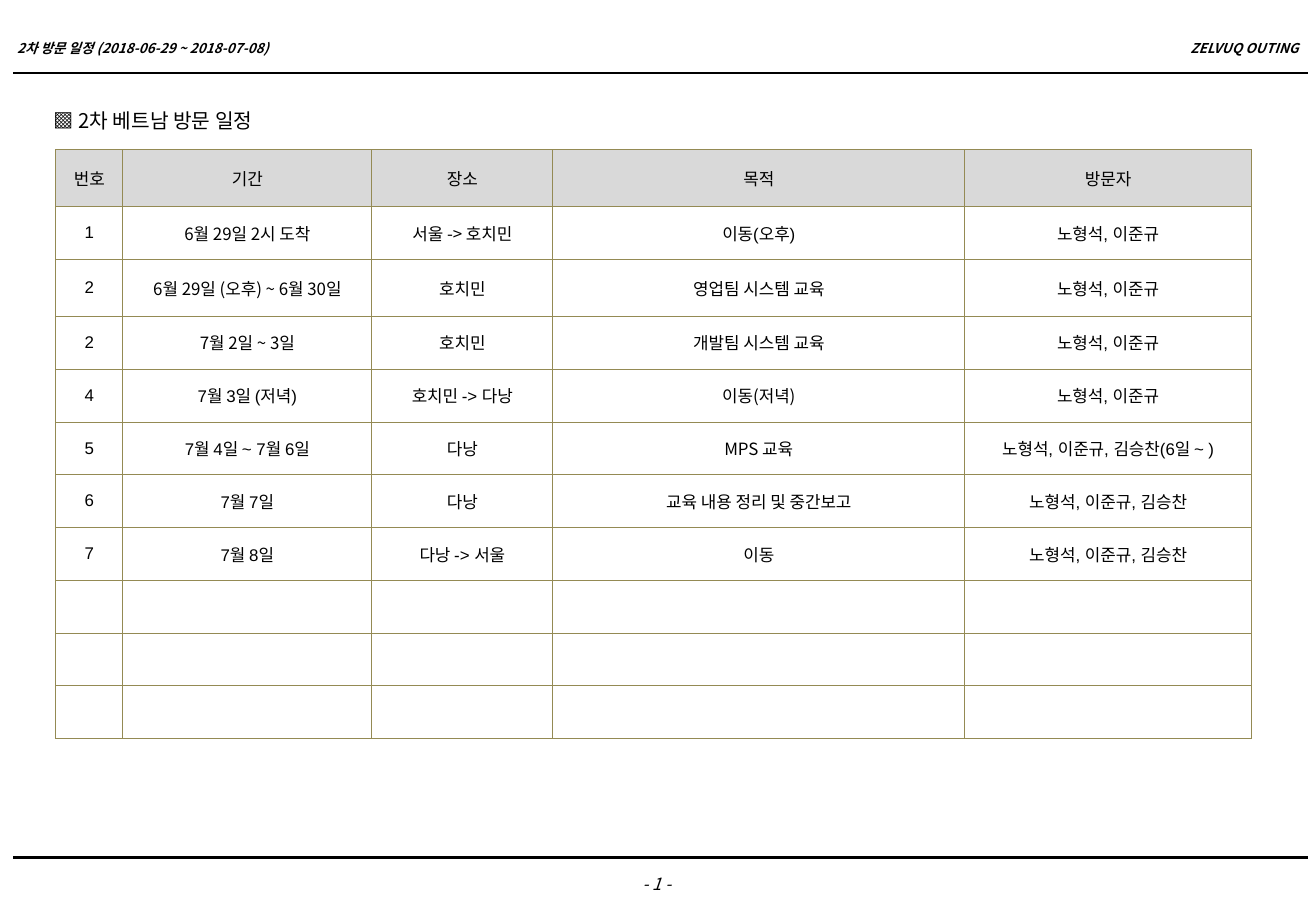
from dataclasses import dataclass

import pptx
import pptx.dml.color
import pptx.enum.dml
import pptx.enum.shapes
import pptx.enum.text
import pptx.oxml
import pptx.oxml.ns
import pptx.util

Pt = pptx.util.Pt
Align = pptx.enum.text.PP_ALIGN
Anchor = pptx.enum.text.MSO_ANCHOR


@dataclass(frozen=True)
class Theme:
    """Colours, fonts and type sizes of the slide."""
    ink: str = "000000"
    border: str = "948A54"
    header_fill: str = "D9D9D9"
    body_fill: str = "FFFFFF"
    korean_font: str = "Noto Sans CJK KR"
    latin_font: str = "Arial"
    running_size: float = 8
    body_size: float = 10
    title_size: float = 12
    rule_width: float = 1.25
    border_width: float = 0.5


@dataclass(frozen=True)
class Label:
    """A text box; lengths in points."""
    text: str
    left: float
    top: float
    width: float
    height: float
    size: float
    align: Align = Align.LEFT
    anchor: Anchor = Anchor.TOP
    bold: bool = False
    italic: bool = False
    wrap: bool = True


@dataclass(frozen=True)
class Visit:
    """One schedule row; korean lists the columns set in the Korean font."""
    cells: tuple[str, ...]
    korean: tuple[int, ...] = ()


THEME = Theme()
SLIDE_WIDTH, SLIDE_HEIGHT = 780, 540
RULE_LEFT, RULE_RIGHT = 8, 775.5
RULE_TOPS = (43.2, 508.3)
TABLE_LEFT, TABLE_TOP = 33, 88.6
COLUMN_WIDTHS = (39.8, 147.6, 107.3, 244.1, 170)
ROW_HEIGHT, TALL_ROW_HEIGHT = 31.3, 33.8
TALL_ROWS = (0, 2)
EMPTY_ROWS = 3

LABELS = (
    Label("- 1 -", 335.5, 514.1, 107.3, 19.4, THEME.body_size, Align.CENTER, italic=True),
    Label("2차 방문 일정 (2018-06-29 ~ 2018-07-08)", 3, 11.5, 301.7, 33.8,
          THEME.running_size, anchor=Anchor.MIDDLE, bold=True, italic=True),
    Label("ZELVUQ OUTING", 684.7, 11.5, 92.2, 33.8, THEME.running_size,
          Align.RIGHT, Anchor.MIDDLE, bold=True, italic=True),
    Label("▩ 2차 베트남 방문 일정", 24.8, 60.5, 147.6, 21.6, THEME.title_size, wrap=False),
)

HEADINGS = ("번호", "기간", "장소", "목적", "방문자")
PAIR = "노형석, 이준규"
TRIO = f"{PAIR}, 김승찬"
VISITS = (
    Visit(("1", "6월 29일 2시 도착", "서울 -> 호치민", "이동(오후)", PAIR), (1, 2)),
    Visit(("2", "6월 29일 (오후) ~ 6월 30일", "호치민", "영업팀 시스템 교육", PAIR), (1,)),
    Visit(("2", "7월 2일 ~ 3일", "호치민", "개발팀 시스템 교육", PAIR), (1,)),
    Visit(("4", "7월 3일 (저녁)", "호치민 -> 다낭", "이동(저녁)", PAIR), (3,)),
    Visit(("5", "7월 4일 ~ 7월 6일", "다낭", "MPS 교육", f"{TRIO}(6일 ~ )"), (3,)),
    Visit(("6", "7월 7일", "다낭", "교육 내용 정리 및 중간보고", TRIO), (3,)),
    Visit(("7", "7월 8일", "다낭 -> 서울", "이동", TRIO), (3,)),
)


def colour(value: str) -> pptx.dml.color.RGBColor:
    """Turn a hex string into a colour."""
    return pptx.dml.color.RGBColor.from_string(value)


def add_run(paragraph, text: str, size: float, latin_font: str,
            bold: bool = False, italic: bool = False) -> None:
    """Add one styled run, with the Korean font for its Korean letters."""
    run = paragraph.add_run()
    run.text = text
    run.font.size = Pt(size)
    run.font.bold = bold
    run.font.italic = italic
    run.font.color.rgb = colour(THEME.ink)
    run.font.name = latin_font
    east_asian = pptx.oxml.parse_xml(
        f'<a:ea {pptx.oxml.ns.nsdecls("a")} typeface="{THEME.korean_font}"/>')
    run.font._element.find(pptx.oxml.ns.qn("a:latin")).addnext(east_asian)


def add_label(slide, label: Label) -> None:
    """Draw a text box."""
    box = slide.shapes.add_textbox(
        Pt(label.left), Pt(label.top), Pt(label.width), Pt(label.height))
    frame = box.text_frame
    frame.word_wrap = label.wrap
    frame.vertical_anchor = label.anchor
    paragraph = frame.paragraphs[0]
    paragraph.alignment = label.align
    add_run(paragraph, label.text, label.size, THEME.korean_font, label.bold, label.italic)


def add_rule(slide, top: float) -> None:
    """Draw a horizontal rule across the page."""
    rule = slide.shapes.add_connector(
        pptx.enum.shapes.MSO_CONNECTOR.STRAIGHT,
        Pt(RULE_LEFT), Pt(top), Pt(RULE_RIGHT), Pt(top))
    rule.line.color.rgb = colour(THEME.ink)
    rule.line.width = Pt(THEME.rule_width)
    rule._element.spPr.append(
        pptx.oxml.parse_xml(f'<a:effectLst {pptx.oxml.ns.nsdecls("a")}/>'))


def style_cell(cell, fill: str) -> None:
    """Set the fill, borders and anchor of a cell."""
    cell.fill.solid()
    cell.fill.fore_color.rgb = colour(fill)
    cell.vertical_anchor = Anchor.MIDDLE
    properties = cell._tc.get_or_add_tcPr()
    for index, side in enumerate("LRTB"):
        properties.insert(index, pptx.oxml.parse_xml(
            f'<a:ln{side} {pptx.oxml.ns.nsdecls("a")} w="{int(Pt(THEME.border_width))}">'
            f'<a:solidFill><a:srgbClr val="{THEME.border}"/></a:solidFill></a:ln{side}>'))


def add_schedule(slide) -> None:
    """Draw the visit table with its heading and spare rows."""
    blank = Visit(("",) * len(HEADINGS))
    rows = (Visit(HEADINGS), *VISITS, *[blank] * EMPTY_ROWS)
    heights = [TALL_ROW_HEIGHT if index in TALL_ROWS else ROW_HEIGHT
               for index in range(len(rows))]
    table = slide.shapes.add_table(
        len(rows), len(HEADINGS), Pt(TABLE_LEFT), Pt(TABLE_TOP),
        Pt(sum(COLUMN_WIDTHS)), Pt(sum(heights))).table
    table.horz_banding = False
    for column, width in zip(table.columns, COLUMN_WIDTHS):
        column.width = Pt(width)
    for row_index, (visit, height) in enumerate(zip(rows, heights)):
        table.rows[row_index].height = Pt(height)
        fill = THEME.body_fill if row_index else THEME.header_fill
        for column_index, text in enumerate(visit.cells):
            cell = table.cell(row_index, column_index)
            style_cell(cell, fill)
            if text:
                paragraph = cell.text_frame.paragraphs[0]
                paragraph.alignment = Align.CENTER
                korean = column_index in visit.korean
                font = THEME.korean_font if korean else THEME.latin_font
                add_run(paragraph, text, THEME.body_size, font)


def main() -> None:
    """Build and save the presentation."""
    presentation = pptx.Presentation()
    presentation.slide_width = Pt(SLIDE_WIDTH)
    presentation.slide_height = Pt(SLIDE_HEIGHT)
    slide = presentation.slides.add_slide(presentation.slide_layouts[6])
    for top in RULE_TOPS:
        add_rule(slide, top)
    for label in LABELS:
        add_label(slide, label)
    add_schedule(slide)
    presentation.save("out.pptx")


main()
